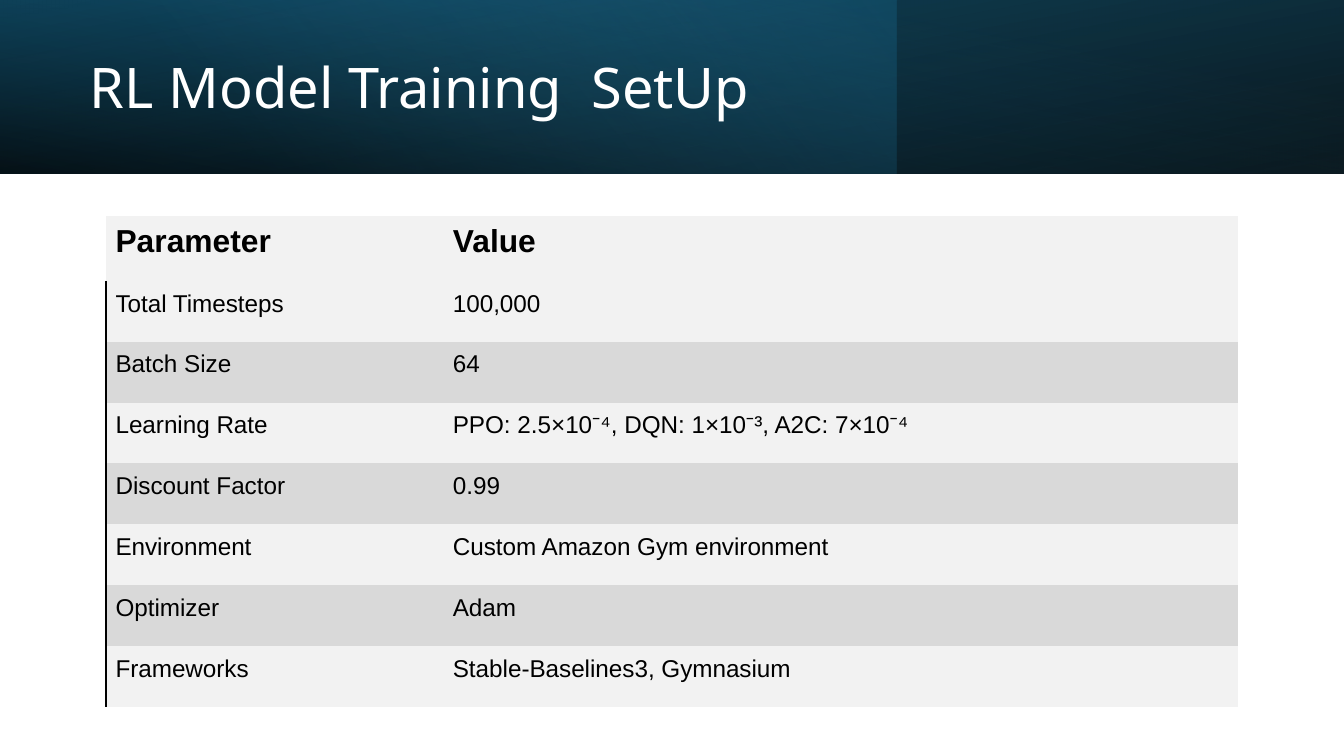
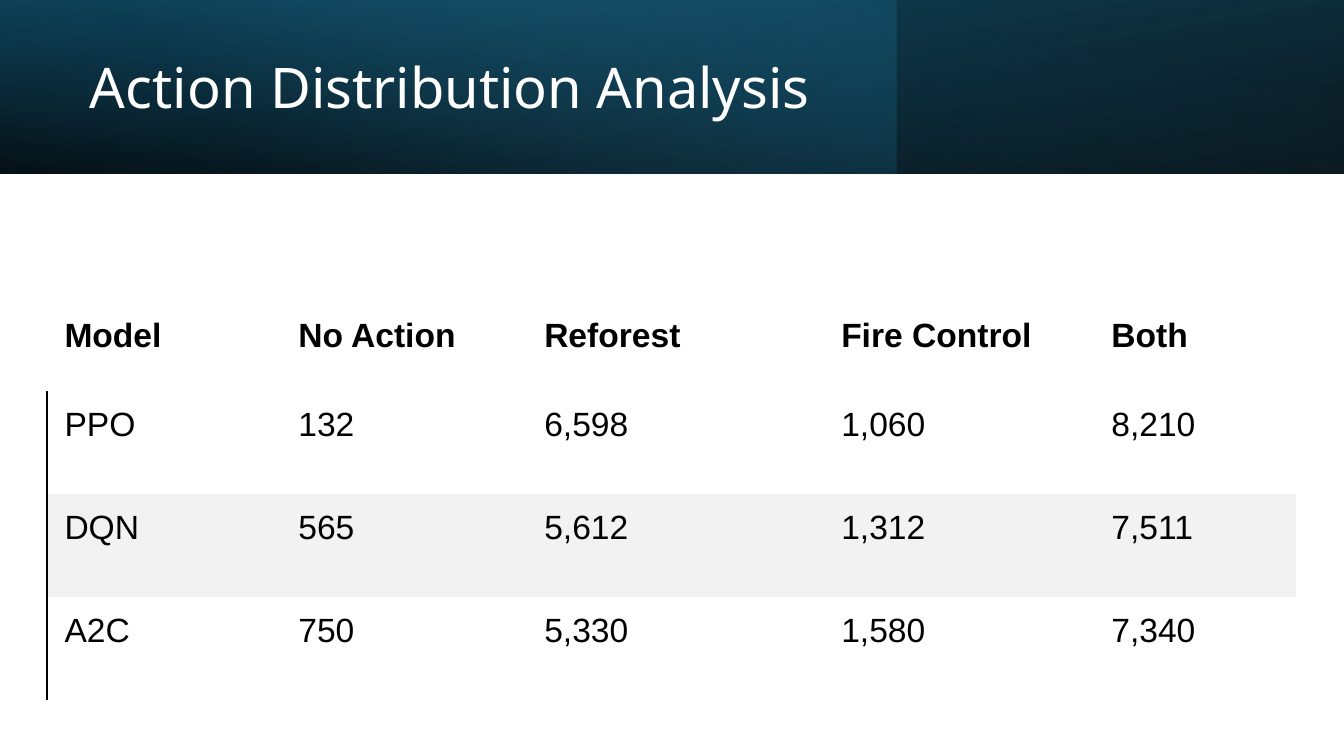
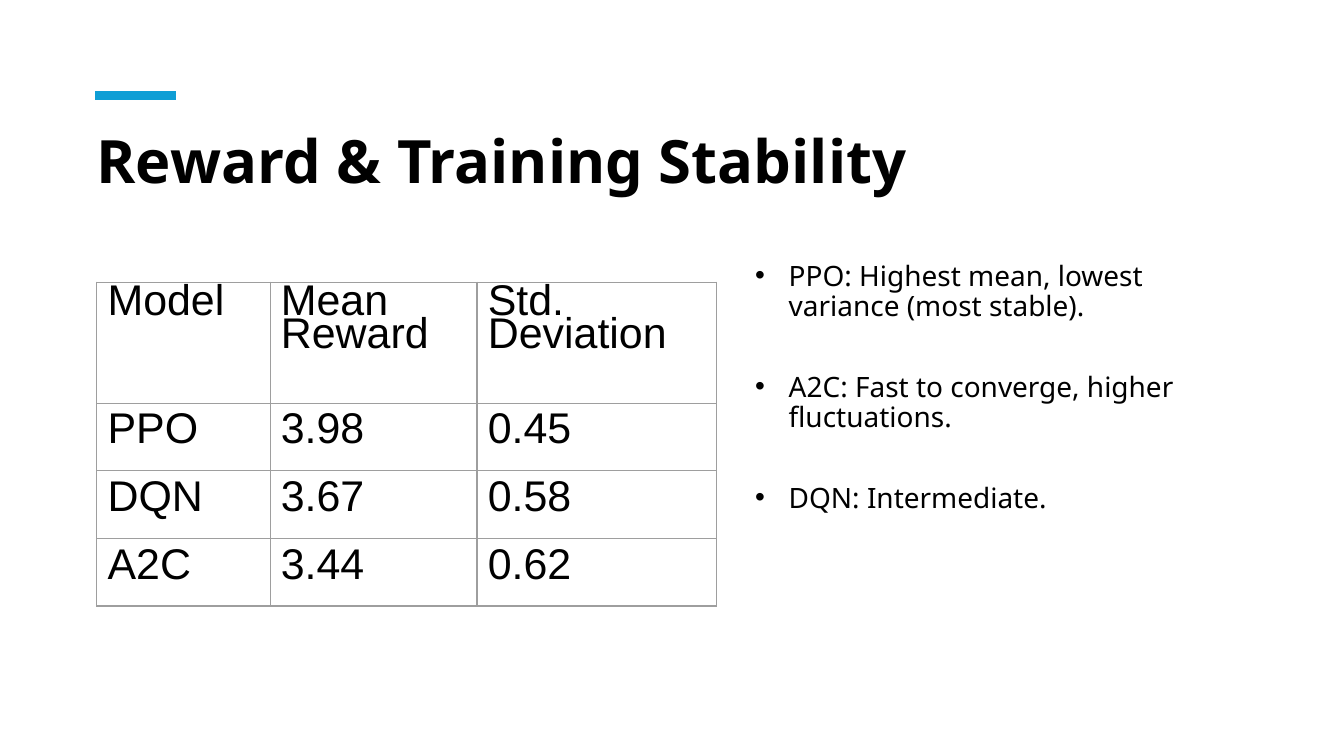
from lxml import etree
from pptx import Presentation
from pptx.dml.color import RGBColor
from pptx.enum.shapes import MSO_CONNECTOR, MSO_SHAPE
from pptx.enum.text import MSO_ANCHOR
from pptx.oxml import parse_xml
from pptx.oxml.ns import nsdecls, qn
from pptx.util import Inches, Pt

C = {"black": "000000", "white": "FFFFFF", "navy": "104862", "teal": "156082",
     "sky": "46B1E1", "accent": "0F9ED5", "light": "F2F2F2", "mid": "D9D9D9",
     "grid": "9E9E9E"}
TITLE_FONT, TABLE_FONT = "Noto Sans", "Arial"
NO_STYLE = "{2D5ABB26-0587-4C30-8999-92F81FD0307C}"

# Header layers: width, rotation, mirrored, angle, stops (position, colour, opacity)
BANDS = [
    (10, 180, True, 100, [(0, "black", 96), (100, "navy", 100)]),
    (6.67, 0, False, 140, [(0, "teal", 41), (74, "sky", 0)]),
    (10, 0, True, 260, [(0, "black", 63), (78, "teal", 15)]),
]


def add_text(s, box, lines, size, color, bold=False):
    tf = s.shapes.add_textbox(*map(Inches, box)).text_frame
    tf.word_wrap = True
    for i, line in enumerate(lines):
        p = tf.paragraphs[0] if i == 0 else tf.add_paragraph()
        p.text = line
        p.line_spacing = 0.9
        p.font.name, p.font.size, p.font.bold = TITLE_FONT, Pt(size), bold
        p.font.color.rgb = RGBColor.from_string(C[color])
    return tf


def add_grid(s, left, top, cols, height, header, rows, sizes, bold, spacing,
             insets, anchors, fills, border):
    """Pairs give the header value first, then the body value."""
    tbl = s.shapes.add_table(len(rows), len(cols), Inches(left), Inches(top),
                             Inches(sum(cols)), Inches(height)).table
    tbl.first_row = tbl.horz_banding = False
    tbl._tbl.tblPr.find(qn("a:tableStyleId")).text = NO_STYLE
    for col, width in zip(tbl.columns, cols):
        col.width = Inches(width)
    row_heights = (header, (height - header) / (len(rows) - 1))
    for i, values in enumerate(rows):
        body = int(i > 0)
        tbl.rows[i].height = Inches(row_heights[body])
        for j, value in enumerate(values):
            cell = tbl.cell(i, j)
            cell.text = value
            (cell.margin_left, cell.margin_top, cell.margin_right,
             cell.margin_bottom) = map(Inches, insets[body])
            cell.vertical_anchor = anchors[body]
            p = cell.text_frame.paragraphs[0]
            p.line_spacing = Pt(spacing)
            p.font.name, p.font.size = TABLE_FONT, Pt(sizes[body])
            p.font.bold = bold and not body
            p.font.color.rgb = RGBColor.from_string(C["black"])
            if fills[i]:
                cell.fill.solid()
                cell.fill.fore_color.rgb = RGBColor.from_string(C[fills[i]])
            else:
                cell.fill.background()
            # Full grid, or a rule left of the body rows
            color, width, sides = border
            if sides == "L" and (j or not body):
                continue
            for k, side in enumerate(sides):
                cell._tc.get_or_add_tcPr().insert(k, parse_xml(
                    f'<a:ln{side} {nsdecls("a")} w="{Pt(width)}"><a:solidFill>'
                    f'<a:srgbClr val="{C[color]}"/></a:solidFill></a:ln{side}>'))


# Widescreen 16:9
prs = Presentation()
prs.slide_width, prs.slide_height = Inches(10), Inches(10 * 9 / 16)
blank = prs.slide_layouts[6]
BOTTOM_MIDDLE = (MSO_ANCHOR.BOTTOM, MSO_ANCHOR.MIDDLE)

# Slides 1 and 2: gradient header over a table
banded = [
    ("RL Model Training  SetUp", dict(
        left=0.79, top=1.61, cols=[2.51, 5.91], height=3.65, header=0.48,
        rows=[("Parameter", "Value"),
              ("Total Timesteps", "100,000"),
              ("Batch Size", "64"),
              ("Learning Rate", "PPO: 2.5×10⁻⁴, DQN: 1×10⁻³, A2C: 7×10⁻⁴"),
              ("Discount Factor", "0.99"),
              ("Environment", "Custom Amazon Gym environment"),
              ("Optimizer", "Adam"),
              ("Frameworks", "Stable-Baselines3, Gymnasium")],
        sizes=(17, 13), spacing=16.5, insets=[(0.07, 0.02, 0.11, 0.16)] * 2,
        fills=["light"] + ["light", "mid"] * 3 + ["light"],
        border=("black", 1, "L"))),
    ("Action Distribution Analysis", dict(
        left=0.35, top=1.68, cols=[1.74, 1.83, 2.21, 2.01, 1.5],
        height=3.53, header=1.23,
        rows=[("Model", "No Action", "Reforest", "Fire Control", "Both"),
              ("PPO", "132", "6,598", "1,060", "8,210"),
              ("DQN", "565", "5,612", "1,312", "7,511"),
              ("A2C", "750", "5,330", "1,580", "7,340")],
        sizes=(18, 18), spacing=17.2, insets=[(0.13, 0.04, 0.21, 0.27)] * 2,
        fills=[None, None, "light", None],
        border=("black", 0.75, "L"))),
]
for title, grid in banded:
    s = prs.slides.add_slide(blank)
    for width, rotation, mirrored, angle, stops in BANDS:
        sp = s.shapes.add_shape(MSO_SHAPE.RECTANGLE, 0, 0, Inches(width), Inches(1.29))
        sp.shadow.inherit = False
        sp.line.fill.background()
        sp.rotation = rotation
        if mirrored:
            sp._element.spPr.find(qn("a:xfrm")).set("flipH", "1")
        gs = "".join(f'<a:gs pos="{pos * 1000}"><a:srgbClr val="{C[color]}">'
                     f'<a:alpha val="{alpha * 1000}"/></a:srgbClr></a:gs>'
                     for pos, color, alpha in stops)
        sp._element.spPr.find(qn("a:prstGeom")).addnext(parse_xml(
            f'<a:gradFill {nsdecls("a")} rotWithShape="1"><a:gsLst>{gs}</a:gsLst>'
            f'<a:lin ang="{angle * 60000}" scaled="0"/></a:gradFill>'))
    tf = add_text(s, (0.57, 0.2, 5.79, 0.95), [title], 30, "white")
    tf.vertical_anchor = MSO_ANCHOR.MIDDLE
    add_grid(s, bold=True, anchors=BOTTOM_MIDDLE, **grid)

# Slide 3: title with accent rule
s = prs.slides.add_slide(blank)
add_text(s, (0.62, 0.93, 7.43, 0.86), ["Reward & Training Stability"], 32, "black", True)
rule = s.shapes.add_connector(MSO_CONNECTOR.STRAIGHT, Inches(0.71), Inches(0.71),
                              Inches(1.31), Inches(0.71))
rule.line.color.rgb = RGBColor.from_string(C["accent"])
rule.line.width = Pt(4.5)
etree.SubElement(rule._element.spPr, qn("a:effectLst"))

# Findings
tf = add_text(s, (5.52, 1.9, 3.75, 3.13),
              ["PPO: Highest mean, lowest variance (most stable).",
               "A2C: Fast to converge, higher fluctuations.",
               "DQN: Intermediate."], 15, "black")
for p in tf.paragraphs:
    p.space_after = Pt(27)
    pPr = p._p.get_or_add_pPr()
    pPr.set("marL", str(Inches(0.25)))
    pPr.set("indent", str(-Inches(0.25)))
    pPr.find(qn("a:spcAft")).addnext(parse_xml(
        f'<a:buChar {nsdecls("a")} char="•"/>'))
    pPr.find(qn("a:spcAft")).addnext(parse_xml(
        f'<a:buFont {nsdecls("a")} typeface="Arial"/>'))

# Reward table
add_grid(s, 0.72, 2.1, [1.29, 1.54, 1.78], 2.41, 0.9,
         [("Model", "Mean Reward", "Std. Deviation"),
          ("PPO", "3.98", "0.45"),
          ("DQN", "3.67", "0.58"),
          ("A2C", "3.44", "0.62")],
         sizes=(23, 23), bold=False, spacing=17.2,
         insets=[(0.08,) * 4, (0.08, 0.05, 0.08, 0.05)],
         anchors=(MSO_ANCHOR.TOP, MSO_ANCHOR.MIDDLE),
         fills=[None] * 4, border=("grid", 0.75, "LRTB"))

prs.save("out.pptx")
